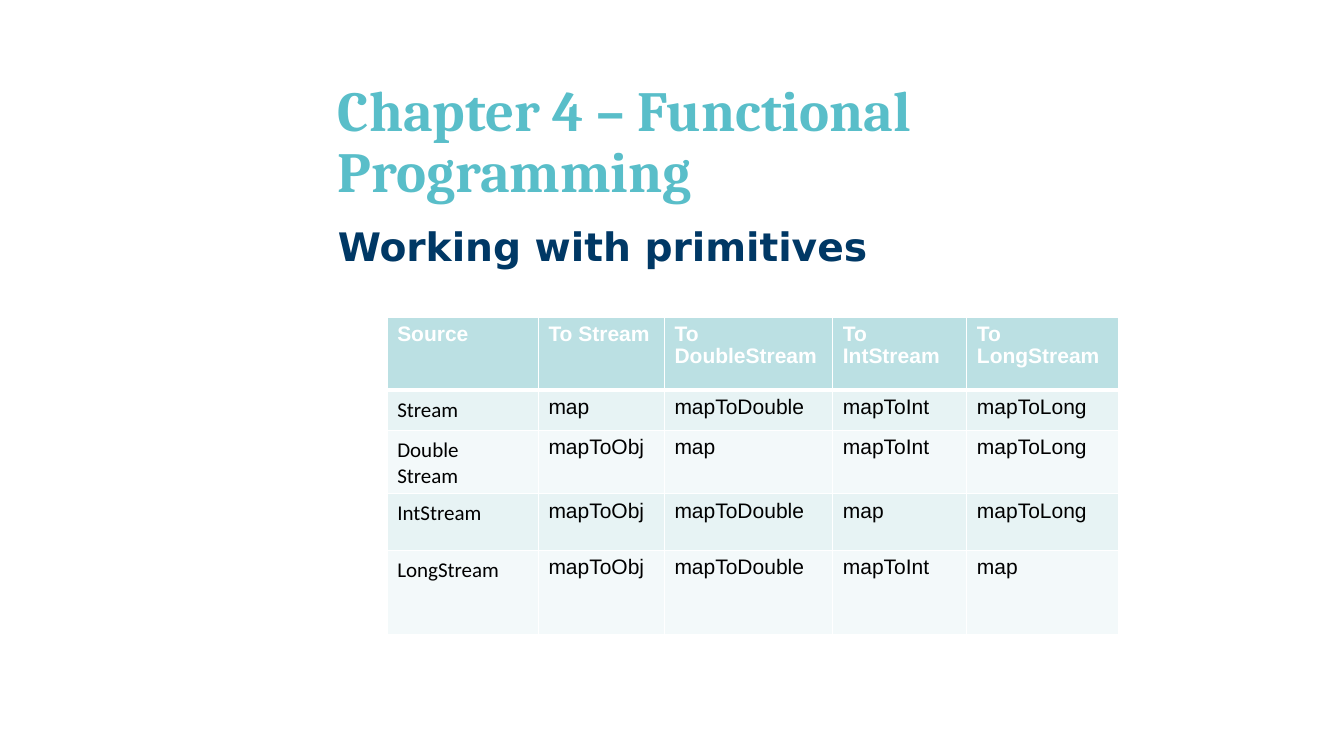
from lxml import etree
from pptx import Presentation
from pptx import util as u
from pptx.dml.color import RGBColor
from pptx.enum import text
from pptx.oxml.ns import qn


def style(paragraph, font, size, color, bold, spacing):
    paragraph.alignment = text.PP_ALIGN.LEFT
    paragraph.line_spacing = spacing
    for run in paragraph.runs:
        run.font.name = font
        run.font.size = u.Pt(size)
        run.font.bold = bold
        run.font.color.rgb = RGBColor.from_string(color)


def add_border(cell, position, side, width):
    line = etree.Element(qn("a:" + side), w=str(u.Pt(width)))
    fill = etree.SubElement(line, qn("a:solidFill"))
    etree.SubElement(fill, qn("a:srgbClr"), val="FFFFFF")
    cell._tc.get_or_add_tcPr().insert(position, line)


deck = Presentation()
deck.slide_width, deck.slide_height = u.Inches(13.33), u.Inches(7.5)
slide = deck.slides.add_slide(deck.slide_layouts[1])

# Chapter title and section heading
chapter, section = slide.placeholders
headings = [
    (chapter, "Chapter 4 – Functional Programming", 1, 0.85,
     text.MSO_ANCHOR.MIDDLE, "Cambria", 40.5, "59BEC9"),
    (section, "Working with primitives", 2.21, 0.57,
     text.MSO_ANCHOR.TOP, "DejaVu Sans", 28, "003865"),
]
for heading, words, top, height, anchor, font, size, color in headings:
    heading.left, heading.top = u.Inches(3.25), u.Inches(top)
    heading.width, heading.height = u.Inches(9.17), u.Inches(height)
    frame = heading.text_frame
    frame.text = words
    frame.auto_size = text.MSO_AUTO_SIZE.NONE
    frame.vertical_anchor = anchor
    style(frame.paragraphs[0], font, size, color, True, 0.9)

# The section heading carries no bullet
section_line = section.text_frame.paragraphs[0]
section_line.space_before = u.Pt(10)
section_props = section_line._p.get_or_add_pPr()
section_props.set("marL", "0")
section_props.set("indent", "0")
etree.SubElement(section_props, qn("a:buNone"))

# Mapping methods between stream types
methods = [
    ["Source", "To Stream", "To DoubleStream", "To IntStream", "To LongStream"],
    ["Stream", "map", "mapToDouble", "mapToInt", "mapToLong"],
    ["Double\nStream", "mapToObj", "map", "mapToInt", "mapToLong"],
    ["IntStream", "mapToObj", "mapToDouble", "map", "mapToLong"],
    ["LongStream", "mapToObj", "mapToDouble", "mapToInt", "map"],
]
column_widths = [1.5, 1.25, 1.67, 1.33, 1.5]
row_heights = [0.72, 0.4, 0.62, 0.56, 0.84]
conversions = slide.shapes.add_table(
    len(row_heights), len(column_widths), u.Inches(3.84), u.Inches(3.15),
    u.Inches(sum(column_widths)), u.Inches(sum(row_heights))).table
for column, width in zip(conversions.columns, column_widths):
    column.width = u.Inches(width)
for row, height in zip(conversions.rows, row_heights):
    row.height = u.Inches(height)

for r, names in enumerate(methods):
    header = r == 0
    band = "BBE0E3" if header else ("F3F9FA", "E7F3F4")[r % 2]
    for c, name in enumerate(names):
        cell = conversions.cell(r, c)
        cell.text = name
        cell.margin_left = cell.margin_right = u.Inches(0.1)
        cell.margin_top, cell.margin_bottom = u.Inches(0.07), u.Inches(0.05)
        cell.fill.solid()
        cell.fill.fore_color.rgb = RGBColor.from_string(band)

        # Source names below the header have their own font
        source = c == 0 and not header
        for paragraph in cell.text_frame.paragraphs:
            style(paragraph, "Calibri" if source else "Arial", 15,
                  "FFFFFF" if header else "000000", header,
                  1.0 if source else 0.93)

        # Thin white grid, with a thick rule under the header
        top_width = 2.95 if r == 1 else 0.91
        bottom_width = 2.95 if header else 0.91
        borders = [("lnL", 0.91), ("lnR", 0.91),
                   ("lnT", top_width), ("lnB", bottom_width)]
        for position, (side, width) in enumerate(borders):
            add_border(cell, position, side, width)

deck.save("out.pptx")
